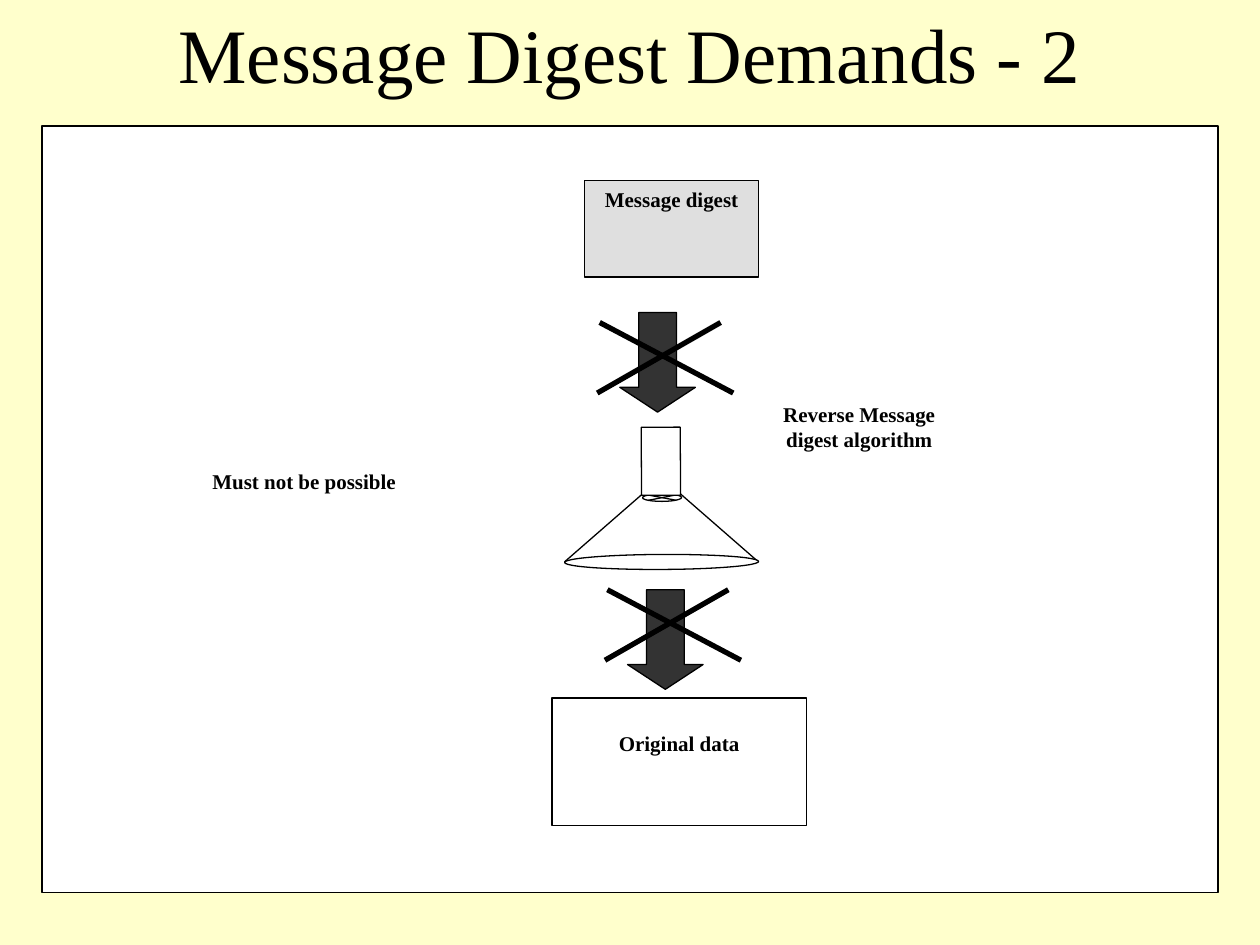
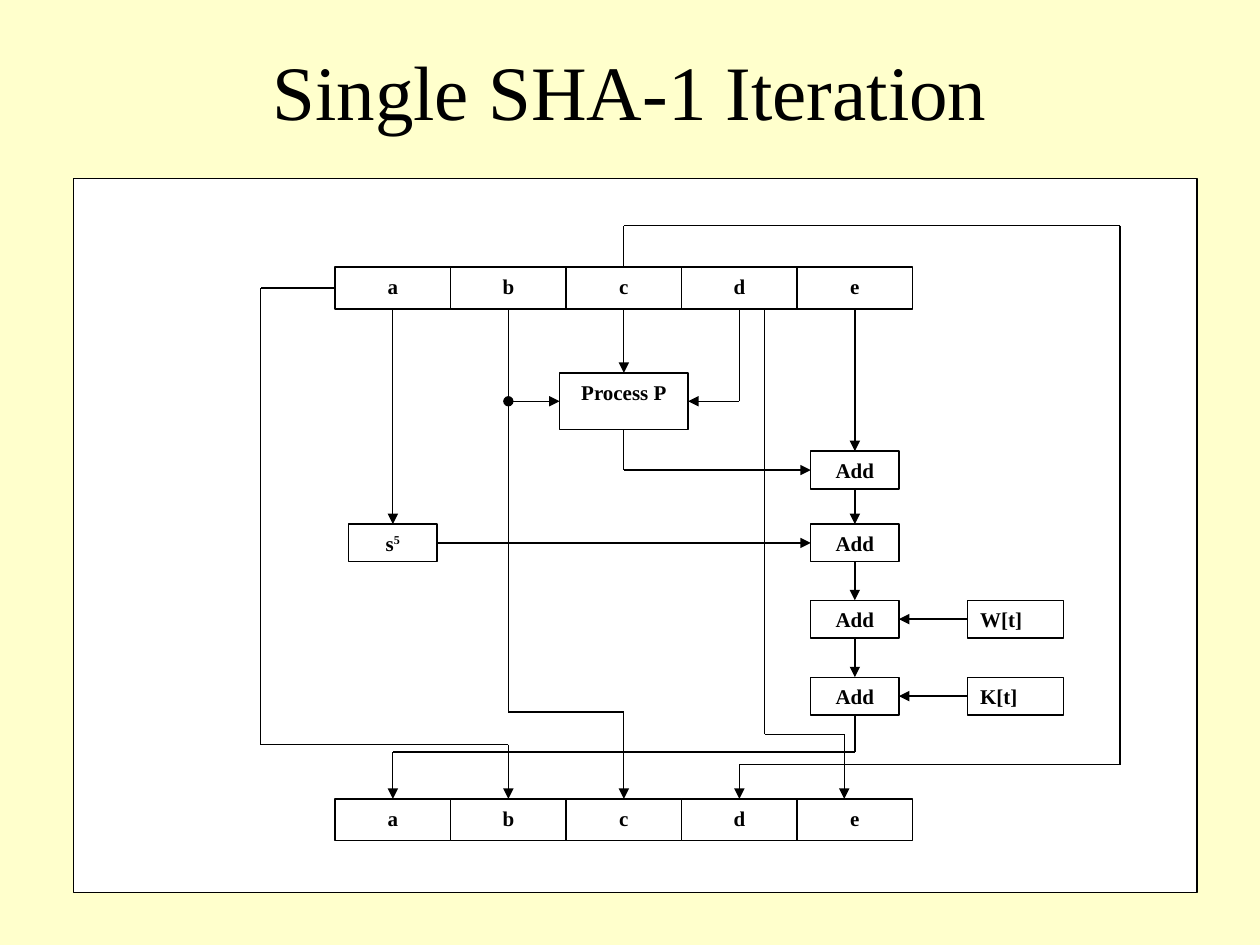
import lxml.etree
import pptx
import pptx.dml.color
import pptx.enum.shapes
import pptx.enum.text
import pptx.oxml.ns
import pptx.util

Pt = pptx.util.Pt
qn = pptx.oxml.ns.qn
SHAPE = pptx.enum.shapes.MSO_SHAPE
ALIGN = pptx.enum.text.PP_ALIGN
ANCHOR = pptx.enum.text.MSO_ANCHOR

FONT = "Times New Roman"
CREAM, WHITE, BLACK, DARK, SILVER = "FFFFCC", "FFFFFF", "000000", "333333", "C0C0C0"
TOP, LEFT, BOTTOM, RIGHT = range(4)


def rgb(color):
    return pptx.dml.color.RGBColor.from_string(color)


def write(tf, text, size=12, bold=True, color=BLACK, align=ALIGN.CENTER, anchor=ANCHOR.TOP,
          inset_top=3.6):
    tf.word_wrap = True
    tf.auto_size = pptx.enum.text.MSO_AUTO_SIZE.NONE
    tf.vertical_anchor = anchor
    tf.margin_left = tf.margin_right = Pt(7.2)
    tf.margin_top, tf.margin_bottom = Pt(inset_top), Pt(3.6)
    p = tf.paragraphs[0]
    p.alignment = align
    for i, part in enumerate(text.split("^")):
        r = p.add_run()
        r.text = part
        r.font.name, r.font.size, r.font.bold = FONT, Pt(size), bold
        r.font.color.rgb = rgb(color)
        if i:
            r.font._element.set("baseline", "30000")


def site_point(sp, site):
    x = sp.left + {LEFT: 0, RIGHT: sp.width}.get(site, sp.width // 2)
    y = sp.top + {TOP: 0, BOTTOM: sp.height}.get(site, sp.height // 2)
    return x, y


class Panel:
    def __init__(self, s, left, top, width, height):
        self.s, self.left, self.top = s, left, top
        self.shape(0, 0, width, height)

    def at(self, x, y):
        return Pt(self.left + x), Pt(self.top + y)

    def shape(self, x, y, w, h, text=None, kind=SHAPE.RECTANGLE, fill=WHITE, outlined=True,
              alpha=None, rotation=0, **fmt):
        sp = self.s.shapes.add_shape(kind, *self.at(x, y), Pt(w), Pt(h))
        sp.shadow.inherit = False
        sp.rotation = rotation
        sp.fill.solid()
        sp.fill.fore_color.rgb = rgb(fill)
        if alpha:
            clr = sp._element.spPr.find(qn("a:solidFill"))[0]
            lxml.etree.SubElement(clr, qn("a:alpha")).set("val", str(alpha * 1000))
        if outlined:
            sp.line.color.rgb = rgb(BLACK)
            sp.line.width = Pt(0.75)
        else:
            sp.line.fill.background()
        if text:
            write(sp.text_frame, text, **fmt)
        return sp

    def label(self, x, y, w, h, text):
        tb = self.s.shapes.add_textbox(*self.at(x, y), Pt(w), Pt(h))
        write(tb.text_frame, text)

    def route(self, *stops, width=0.75, head=None, tail=None):
        def glued(stop):
            return not isinstance(stop[0], (int, float))

        def place(stop):
            return site_point(*stop) if glued(stop) else self.at(*stop)

        last = len(stops) - 2
        for i, (a, b) in enumerate(zip(stops, stops[1:])):
            c = self.s.shapes.add_connector(pptx.enum.shapes.MSO_CONNECTOR.STRAIGHT,
                                            *place(a), *place(b))
            if glued(a):
                c.begin_connect(*a)
            if glued(b):
                c.end_connect(*b)
            c.line.color.rgb = rgb(BLACK)
            c.line.width = Pt(width)
            spPr = c._element.spPr
            ln = spPr.find(qn("a:ln"))
            if head and i == 0:
                lxml.etree.SubElement(ln, qn("a:headEnd")).set("type", head)
            if tail and i == last:
                lxml.etree.SubElement(ln, qn("a:tailEnd")).set("type", tail)
            lxml.etree.SubElement(spPr, qn("a:effectLst"))


def titled_slide(prs, title, top, height):
    s = prs.slides.add_slide(prs.slide_layouts[5])
    sp = s.shapes.title
    sp.left, sp.top, sp.width, sp.height = Pt(54), Pt(top), Pt(612), Pt(height)
    write(sp.text_frame, title, size=44, bold=False, anchor=ANCHOR.MIDDLE)
    return s


def funnel(panel, x, y):
    turn = 179.7
    panel.route((x + 110.8, y + 77), (x + 66.2, y + 38.1))
    panel.route((x, y + 77), (x + 44.6, y + 38.1))
    panel.shape(x + 44.6, y + 38.1, 22.3, 4.3, kind=SHAPE.FLOWCHART_SUMMING_JUNCTION,
                rotation=turn)
    panel.shape(x + 43.9, y, 22.3, 38.9, kind=SHAPE.FLOWCHART_PROCESS, rotation=turn)
    panel.shape(x, y + 72.7, 110.9, 8.6, kind=SHAPE.OVAL, rotation=turn)


def blocked_arrow(panel, x, y, cross_drop):
    arrow = panel.shape(x, y, 43.2, 56.9, kind=SHAPE.DOWN_ARROW, fill=DARK)
    arrow.adjustments[0], arrow.adjustments[1] = 0.5, 0.328
    top, bottom = y + cross_drop, y + cross_drop + 40.3
    panel.route((x - 11.5, top), (x + 64.8, bottom), width=3)
    panel.route((x + 57.6, top), (x - 12.9, bottom), width=3)


def digest_demands(prs):
    s = titled_slide(prs, "Message Digest Demands - 2", 0, 60)
    panel = Panel(s, 24, 72, 672, 438)
    panel.shape(291.4, 326.9, 145.4, 72.7, "Original data", inset_top=18.5)
    funnel(panel, 298.6, 172.1)
    panel.shape(410.9, 154.1, 112.3, 124.6, "Reverse Message digest algorithm", outlined=False)
    panel.shape(310.1, 31, 99.4, 55.4, "Message digest", fill=SILVER, alpha=50)
    panel.label(24.2, 192.2, 251.3, 41.8, "Must not be possible")
    blocked_arrow(panel, 330.2, 106.6, 5.7)
    blocked_arrow(panel, 334.6, 265, 0)


def sha_iteration(prs):
    s = titled_slide(prs, "Single SHA-1 Iteration", 24, 54)
    panel = Panel(s, 42, 102, 642, 408)
    left, cell_w, cell_h = 149.5, 66, 24
    in_y, out_y = 50.6, 354.5
    centers = [left + cell_w * (i + 0.5) for i in range(5)]
    xa, xb, xc, xd, xe = centers

    def registers(y):
        return [panel.shape(x - cell_w / 2, y, cell_w, cell_h, name)
                for x, name in zip(centers, "abcde")]

    a, b, c, d, e = registers(in_y)
    new_a, new_b, new_c, new_d, _ = registers(out_y)

    box_w, box_h = 50.4, 21.6
    add_ys = [155.8, 197.5, 241, 285]
    adds = [panel.shape(xe - box_w / 2, y, box_w, box_h, "Add") for y in add_ys]
    shift = panel.shape(xa - box_w / 2, add_ys[1], box_w, box_h, "s^5")
    process = panel.shape(xc - 36.7, 111.1, 73.4, 32.4, "Process P")
    process_y = 111.1 + 16.2

    def arrow(*stops, **fmt):
        panel.route(*stops, tail="triangle", **fmt)

    for word, y, add in zip(("W[t]", "K[t]"), add_ys[2:], adds[2:]):
        sp = panel.shape(511, y, 54.7, box_h, word, align=ALIGN.LEFT)
        arrow((sp, LEFT), (add, RIGHT))
    for upper, lower in zip([e] + adds, adds):
        arrow((upper, BOTTOM), (lower, TOP))
    arrow((a, BOTTOM), (shift, TOP))
    arrow((shift, RIGHT), (adds[1], LEFT))
    arrow((c, BOTTOM), (process, TOP))
    arrow((b, BOTTOM), (xb, process_y), (process, LEFT))
    arrow((d, BOTTOM), (xd, process_y), (process, RIGHT))
    add_y = add_ys[0] + box_h / 2
    arrow((process, BOTTOM), (xc, add_y), (adds[0], LEFT))

    a_y = in_y + cell_h / 2
    arrow((a, LEFT), (107, a_y), (107, 323.5), (xb, 323.5), (new_b, TOP))
    arrow((xb, process_y), (xb, 304.8), (xc, 304.8), (new_c, TOP), head="oval")
    arrow((c, TOP), (xc, 26.9), (598, 26.9), (598, 335), (xd, 335), (new_d, TOP))
    arrow((395, in_y + cell_h), (395, 317.7), (440.4, 317.7), (440.4, out_y))
    arrow((adds[3], BOTTOM), (xe, 327.8), (xa, 327.8), (new_a, TOP))


def main():
    prs = pptx.Presentation()
    prs.slide_width, prs.slide_height = Pt(720), Pt(540)
    fill = prs.slide_master.background.fill
    fill.solid()
    fill.fore_color.rgb = rgb(CREAM)
    digest_demands(prs)
    sha_iteration(prs)
    prs.save("out.pptx")


if __name__ == "__main__":
    main()
